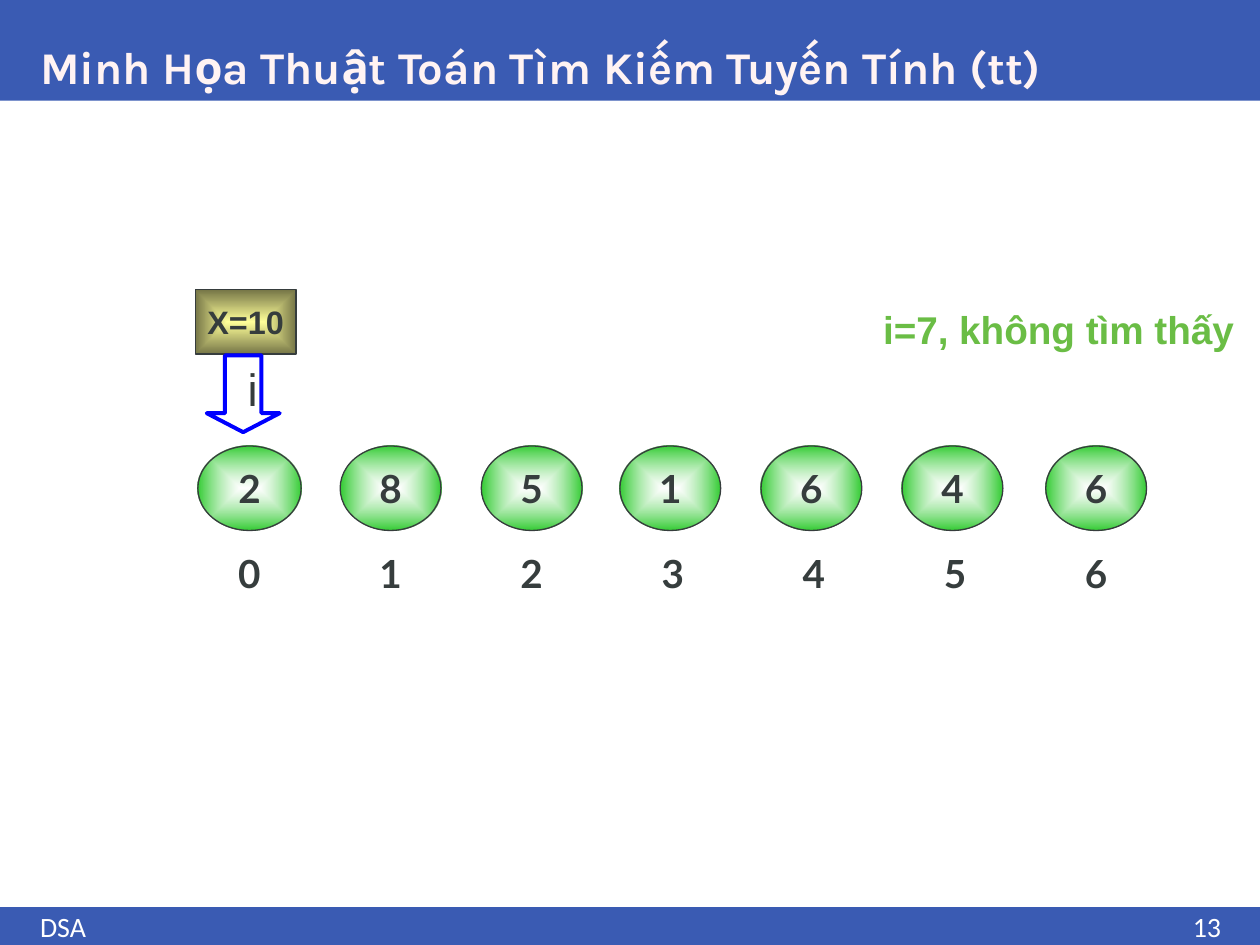
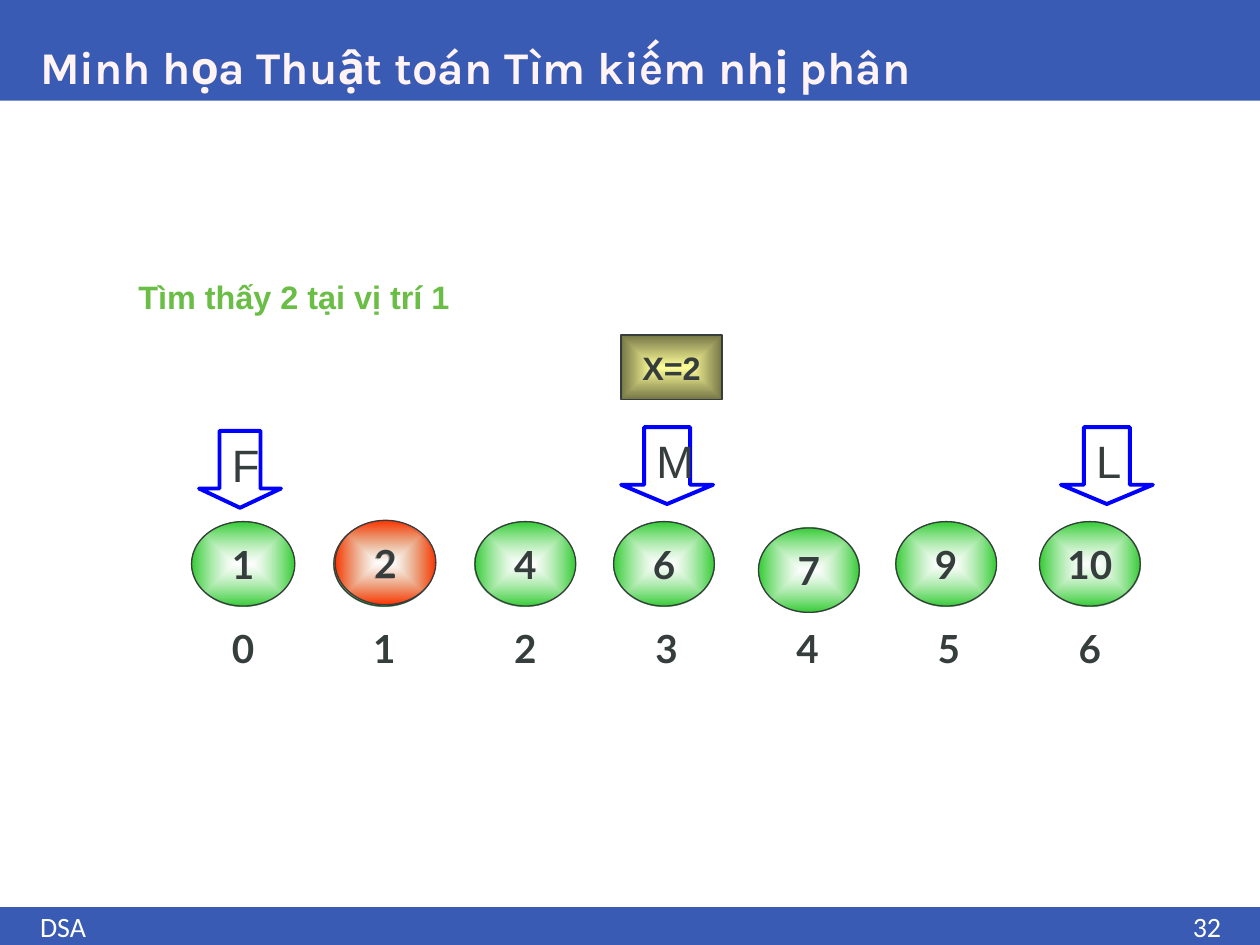
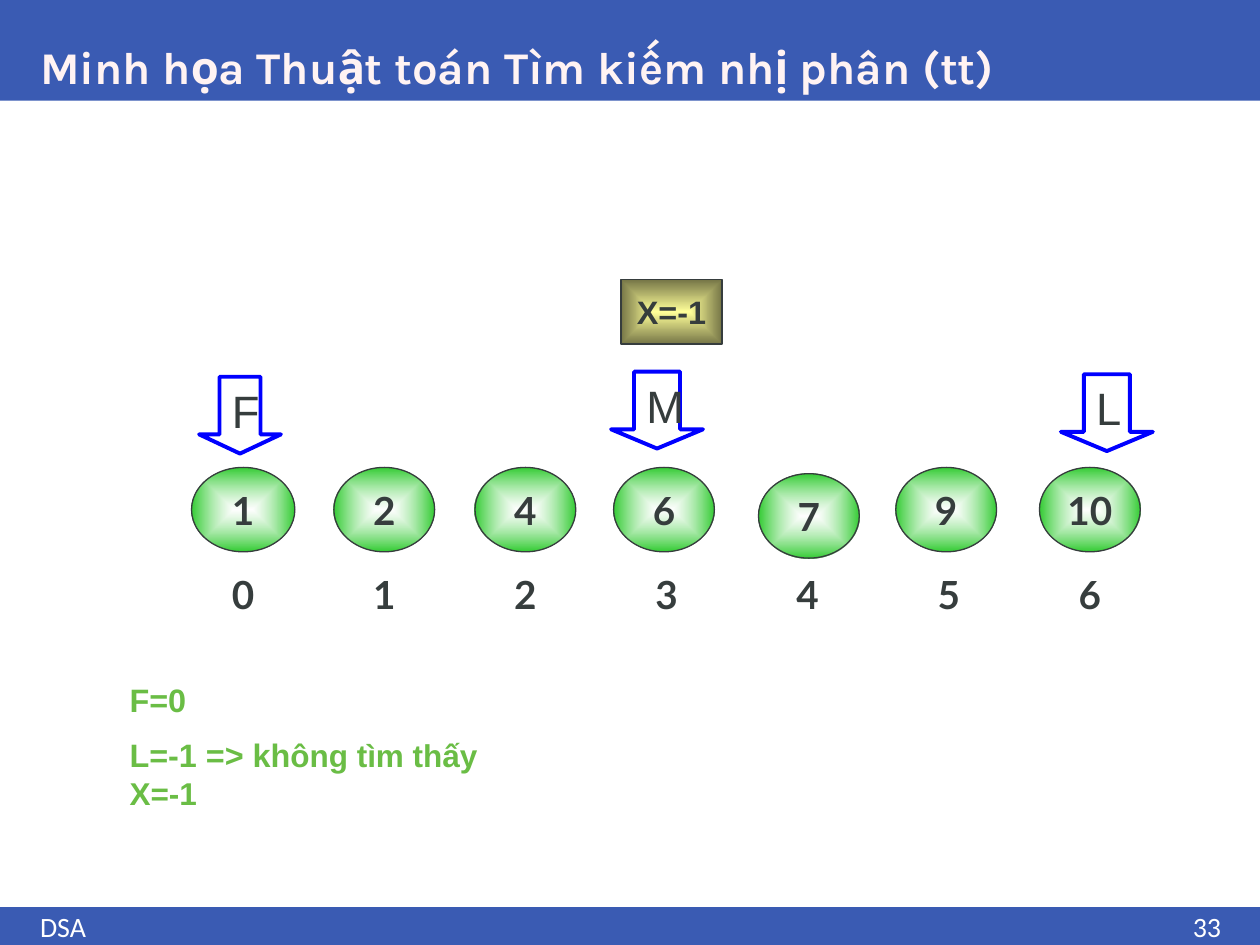
from lxml.etree import SubElement as Sub
from pptx import Presentation as Deck
from pptx.dml.color import RGBColor as Rgb
from pptx.enum.shapes import MSO_SHAPE as Kind
from pptx.enum.text import MSO_ANCHOR as Anchor, PP_ALIGN as Align
from pptx.oxml.ns import qn
from pptx.util import Inches, Pt

BLUE, WHITE, INK = "3A5BB3", "FFFFFF", "363D3D"
CREAM, LIME, ROYAL = "FFF3F3", "6ABD45", "0000FF"
GREEN, RED = "33CC33", "FF3300"
PALE, OLIVE = "FFFF99", "767647"
STEP = 11.2
NUDGE = (-0.1, 0, 0, -0.2, -0.2, -0.2, 0)


def tint(code):
    return Rgb.from_string(code)


def write(shape, text, size=22.1, font="Arial", color=INK, bold=True,
          align=Align.LEFT, anchor=Anchor.TOP, wrap=True, pad=(0.1, 0.05),
          gap=0, lead=None):
    frame = shape.text_frame
    frame.word_wrap = wrap
    frame.vertical_anchor = anchor
    frame.margin_left = frame.margin_right = Inches(pad[0])
    frame.margin_top = frame.margin_bottom = Inches(pad[1])
    lines = [[(text, size)]] if isinstance(text, str) else text
    for num, line in enumerate(lines):
        para = frame.add_paragraph() if num else frame.paragraphs[0]
        para.alignment = align
        if num:
            para.space_before = Pt(gap)
        if lead:
            para.line_spacing = lead
        for part, points in line:
            run = para.add_run()
            run.text = part
            run.font.size = Pt(points)
            run.font.name = font
            run.font.bold = bold
            run.font.color.rgb = tint(color)


def glow(shape, core, edge, alpha=100):
    shape.fill.gradient()
    grad = shape._element.spPr.find(qn("a:gradFill"))
    for child in list(grad):
        grad.remove(child)
    stops = Sub(grad, qn("a:gsLst"))
    for pos, code, part in ((0, core, alpha), (100, edge, 100)):
        stop = Sub(stops, qn("a:gs"), pos=str(pos * 1000))
        hue = Sub(stop, qn("a:srgbClr"), val=code)
        if part < 100:
            Sub(hue, qn("a:alpha"), val=str(part * 1000))
    way = Sub(grad, qn("a:path"), path="shape")
    Sub(way, qn("a:fillToRect"), {side: "50000" for side in "ltrb"})


class Board:
    def __init__(self):
        self.deck = Deck()
        self.deck.slide_width, self.deck.slide_height = Inches(10), Inches(7.5)
        self.cell = self.deck.slide_width / 100

    def place(self, *cells):
        return [round(n * self.cell) for n in cells]

    def shape(self, kind, *box, fill=None, line=None, width=0.75):
        item = self.slide.shapes.add_shape(kind, *self.place(*box))
        item.shadow.inherit = False
        if fill:
            item.fill.solid()
            item.fill.fore_color.rgb = tint(fill)
        else:
            item.fill.background()
        if line:
            item.line.color.rgb = tint(line)
            item.line.width = Pt(width)
        else:
            item.line.fill.background()
        return item

    def label(self, text, *box, **form):
        write(self.slide.shapes.add_textbox(*self.place(*box)), text, **form)

    def page(self, title, num):
        self.slide = self.deck.slides.add_slide(self.deck.slide_layouts[6])
        self.shape(Kind.RECTANGLE, 0, 0, 100, 8, fill=BLUE)
        self.shape(Kind.RECTANGLE, 0, 72, 100, 3, fill=BLUE)
        self.label(title, 2.2, 0, 95.7, 8, size=25.9, font="Karla",
                   color=CREAM, anchor=Anchor.BOTTOM, lead=0.9)
        foot = dict(size=16, font="Calibri", color=WHITE, bold=False,
                    anchor=Anchor.MIDDLE)
        self.label("DSA", 2.2, 72.2, 82.6, 2.6, **foot)
        self.label(str(num), 92.6, 72.2, 5.3, 2.6, align=Align.RIGHT, **foot)

    def ball(self, text, x, y, w=8, color=None):
        item = self.shape(Kind.OVAL, x, y, w, 6.7, line=color and INK)
        if color:
            glow(item, WHITE, color, 60)
        write(item, text, font="Lato", align=Align.CENTER,
              anchor=Anchor.MIDDLE, wrap=False, pad=(0, 0))

    def row(self, nums, x, y, low=None):
        for pos, num in enumerate(nums):
            left = x + pos * STEP
            dx, dy = (0.3, 0.5) if pos == low else (0, 0)
            self.ball(str(num), left + NUDGE[pos] + dx, y + dy,
                      8 if pos else 8.2, GREEN)
            self.ball(str(pos), left, y + 6.7)

    def key(self, text, x, y):
        item = self.shape(Kind.RECTANGLE, x, y, 8, 5.1, line=INK)
        glow(item, PALE, OLIVE)
        write(item, text, size=18.5, align=Align.CENTER,
              anchor=Anchor.MIDDLE, wrap=False)

    def arrow(self, text, x, y, w=7.3, head=0.25, inset=0.1):
        item = self.shape(Kind.DOWN_ARROW, x, y, w, 6.1, line=ROYAL, width=2.25)
        item.adjustments[0], item.adjustments[1] = 0.5, head
        write(item, text, size=25.9, bold=False)
        item.text_frame.margin_left = Inches(inset)

    def note(self, text, *box, size=18.5):
        self.label(text, *box, size=size, color=LIME, gap=9.25)


def main():
    board = Board()
    values = (1, 2, 4, 6, 7, 9, 10)

    board.page("Minh Họa Thuật Toán Tìm Kiếm Tuyến Tính (tt)", 13)
    board.row((2, 8, 5, 1, 6, 4, 6), 15.8, 35.4)
    board.key("X=10", 15.5, 23)
    board.arrow("i", 16.4, 28.2, 5.8, 0.26, 0.18)
    board.note("i=7, không tìm thấy", 69.1, 23.8, 31.1, 4.7, size=22.1)

    board.page("Minh họa Thuật toán Tìm kiếm nhị phân", 32)
    board.row(values, 15.3, 41.4, low=4)
    board.ball("2", 26.6, 41.3, color=RED)
    board.key("X=2", 49.3, 26.6)
    board.arrow("F", 15.8, 34.2, 6.5)
    board.arrow("M", 49.3, 33.9)
    board.arrow("L", 84.2, 33.9)
    board.note("Tìm thấy 2 tại vị trí 1", 10, 21.5, 31.1, 4.1)

    board.page("Minh họa Thuật toán Tìm kiếm nhị phân (tt)", 33)
    board.row(values, 15.3, 37.1, low=4)
    board.key("X=-1", 49.3, 22.2)
    board.arrow("F", 15.8, 29.9, 6.5)
    board.arrow("M", 48.5, 29.5)
    board.arrow("L", 84.2, 29.7)
    board.note([[("F=0", 18.5)],
                [("L=-1 => kh", 18.5), ("ông tìm thấy X=-1", 18)]],
               9.3, 53.5, 34.2, 11.8)

    board.deck.save("out.pptx")


if __name__ == "__main__":
    main()
